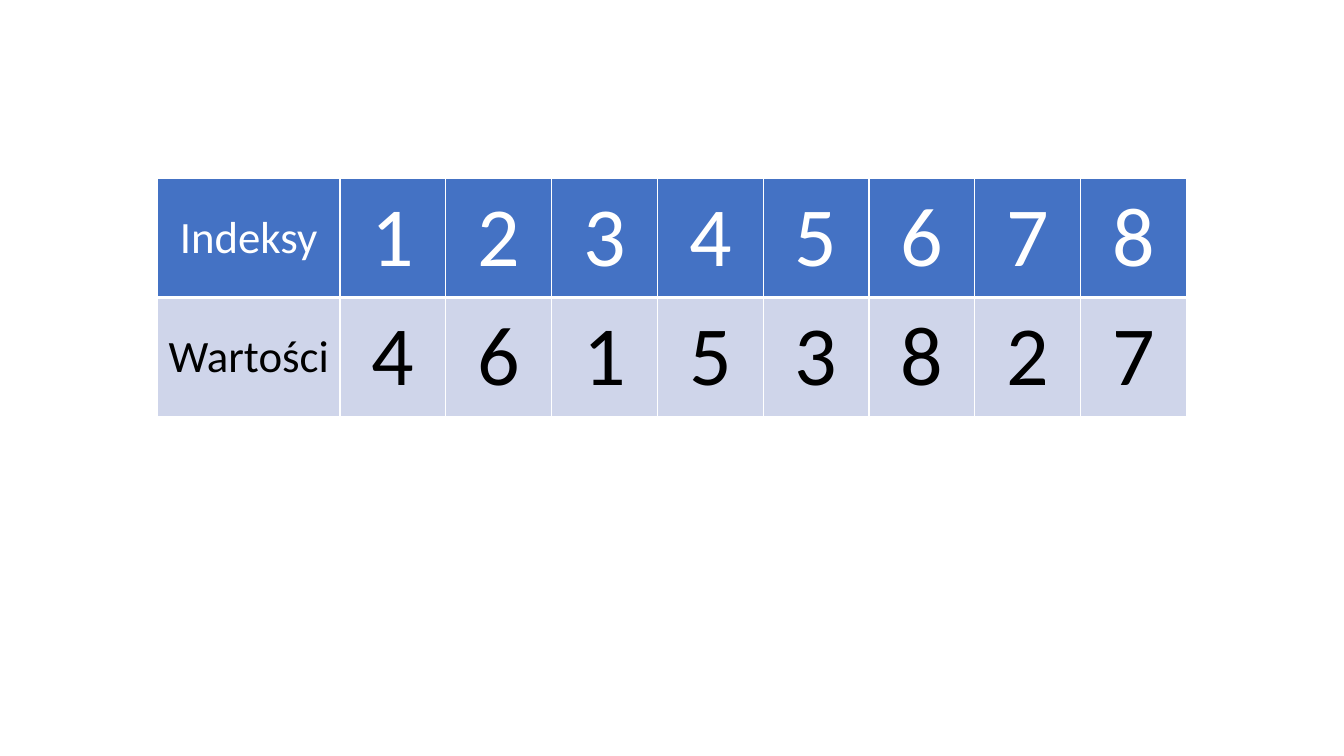
from lxml import etree
from pptx import Presentation
from pptx.dml.color import RGBColor
from pptx.enum import text
from pptx.oxml.ns import qn
from pptx.util import Cm, Pt

LABEL_WIDTH = 4.6
ROWS = [
    {"label": "Indeksy", "values": range(1, 9), "fill": "4472C4", "color": "FFFFFF", "bottom": 3},
    {"label": "Wartości", "values": [4, 6, 1, 5, 3, 8, 2, 7], "fill": "CFD5EA", "color": "000000", "bottom": 1},
]


def rgb(value):
    return RGBColor.from_string(value)


def add_borders(cell, bottom):
    properties = cell._tc.get_or_add_tcPr()
    for side, width in {"L": 1, "R": 1, "T": 1, "B": bottom}.items():
        line = etree.SubElement(properties, qn(f"a:ln{side}"), w=str(Pt(width)))
        fill = etree.SubElement(line, qn("a:solidFill"))
        etree.SubElement(fill, qn("a:srgbClr"), val="FFFFFF")


def fill_cell(cell, content, size, row):
    # Borders come before the fill in the cell properties
    add_borders(cell, row["bottom"])
    cell.fill.solid()
    cell.fill.fore_color.rgb = rgb(row["fill"])
    cell.vertical_anchor = text.MSO_ANCHOR.MIDDLE
    cell.text = str(content)
    paragraph = cell.text_frame.paragraphs[0]
    paragraph.alignment = text.PP_ALIGN.CENTER
    font = paragraph.runs[0].font
    for name, value in {"name": "Calibri", "size": Pt(size), "bold": False}.items():
        setattr(font, name, value)
    font.color.rgb = rgb(row["color"])


def add_index_table(slide, left, top, width, height):
    value_count = len(ROWS[0]["values"])
    frame = slide.shapes.add_table(len(ROWS), value_count + 1, Cm(left), Cm(top), Cm(width), Cm(height))
    table = frame.table

    # Label column, then equal value columns
    for number, column in enumerate(table.columns):
        column.width = Cm((width - LABEL_WIDTH) / value_count if number else LABEL_WIDTH)

    # Indices above their values
    for row, table_row in zip(ROWS, table.rows):
        table_row.height = Cm(height / len(ROWS))
        for number, content in enumerate([row["label"], *row["values"]]):
            fill_cell(table_row.cells[number], content, 60 if number else 32, row)


def main():
    presentation = Presentation()
    presentation.slide_width = Cm(33.87)
    presentation.slide_height = Cm(19.05)
    slide = presentation.slides.add_slide(presentation.slide_layouts[6])
    add_index_table(slide, 3.97, 4.5, 25.93, 6)
    presentation.save("out.pptx")


if __name__ == "__main__":
    main()
